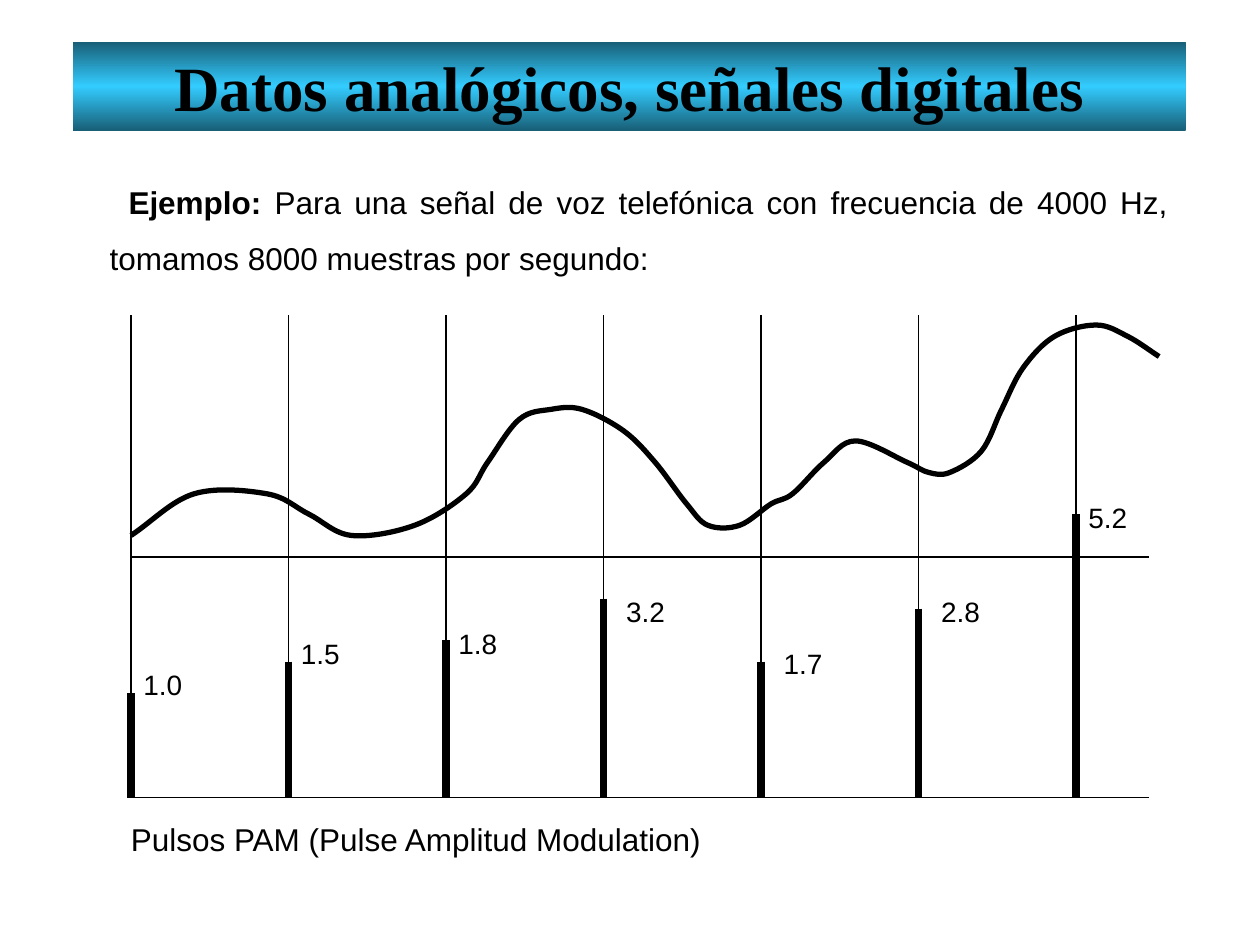
"""Build a slide on sampling a voice signal into PAM pulses."""
import copy

import lxml.etree
import pptx
import pptx.dml.color
import pptx.enum.shapes
import pptx.enum.text
import pptx.oxml.ns
import pptx.util
from pptx.util import Inches

BLACK = pptx.dml.color.RGBColor(0x00, 0x00, 0x00)
TEAL = pptx.dml.color.RGBColor(0x18, 0x5E, 0x76)
CYAN = pptx.dml.color.RGBColor(0x33, 0xCC, 0xFF)
qn = pptx.oxml.ns.qn


def add_line(x1, y1, x2, y2, width):
    line = slide.shapes.add_connector(
        pptx.enum.shapes.MSO_CONNECTOR.STRAIGHT,
        Inches(x1), Inches(y1), Inches(x2), Inches(y2))
    line.line.color.rgb = BLACK
    line.line.width = pptx.util.Pt(width)
    lxml.etree.SubElement(line.element.spPr, qn("a:effectLst"))


def add_label(text, left, top, width, height, size):
    box = slide.shapes.add_textbox(Inches(left), Inches(top), Inches(width), Inches(height))
    box.text_frame.word_wrap = False
    paragraph = box.text_frame.paragraphs[0]
    paragraph.text = text
    paragraph.font.name = "Arial"
    paragraph.font.size = pptx.util.Pt(size)
    paragraph.font.color.rgb = BLACK


presentation = pptx.Presentation()
presentation.slide_width = Inches(10)
presentation.slide_height = Inches(7.5)
slide = presentation.slides.add_slide(presentation.slide_layouts[1])

title = slide.shapes.title
title.left, title.top = Inches(0.58), Inches(0.33)
title.width, title.height = Inches(8.83), Inches(0.71)
title.fill.gradient()
title.fill.gradient_angle = 90
stop_list = title.element.spPr.find(".//" + qn("a:gsLst"))
stop_list.append(copy.deepcopy(stop_list[0]))
for stop, position, color in zip(title.fill.gradient_stops, (0, 0.5, 1), (TEAL, CYAN, TEAL)):
    stop.position = position
    stop.color.rgb = color
title.text_frame.text = "Datos analógicos, señales digitales"
title.text_frame.auto_size = pptx.enum.text.MSO_AUTO_SIZE.NONE
title.text_frame.vertical_anchor = pptx.enum.text.MSO_ANCHOR.MIDDLE
paragraph = title.text_frame.paragraphs[0]
paragraph.alignment = pptx.enum.text.PP_ALIGN.CENTER
paragraph.font.name = "Times New Roman"
paragraph.font.size = pptx.util.Pt(36)
paragraph.font.bold = True
paragraph.font.color.rgb = BLACK

body = slide.placeholders[1]
body.left, body.top = Inches(0.39), Inches(1.25)
body.width, body.height = Inches(8.98), Inches(1.02)
body.text_frame.auto_size = pptx.enum.text.MSO_AUTO_SIZE.NONE
paragraph = body.text_frame.paragraphs[0]
paragraph.alignment = pptx.enum.text.PP_ALIGN.JUSTIFY
paragraph.line_spacing = 1.5
paragraph.font.name = "Arial"
paragraph.font.size = pptx.util.Pt(18)
paragraph.font.color.rgb = BLACK
run = paragraph.add_run()
run.text = "Ejemplo: "
run.font.bold = True
paragraph.add_run().text = (
    "Para una señal de voz telefónica con frecuencia de 4000 Hz, "
    "tomamos 8000 muestras por segundo:")
properties = paragraph._p.get_or_add_pPr()
properties.set("marL", str(Inches(0.38)))
properties.set("indent", str(Inches(0.15)))
bullet = lxml.etree.Element(qn("a:buNone"))
properties.find(qn("a:defRPr")).addprevious(bullet)

AXIS_LEFT, AXIS_RIGHT, BASELINE = 1.04, 9.12, 6.33
for y in (BASELINE, 4.42):
    add_line(AXIS_LEFT, y, AXIS_RIGHT, y, 0.75)

signal = [
    (1.04, 4.25), (1.54, 3.92), (2.12, 3.92), (2.45, 4.08), (2.79, 4.25), (3.29, 4.17),
    (3.7, 3.92), (3.87, 3.67), (4.12, 3.33), (4.37, 3.25), (4.62, 3.25), (4.95, 3.42),
    (5.2, 3.67), (5.45, 4), (5.62, 4.17), (5.87, 4.17), (6.12, 4), (6.29, 3.92),
    (6.54, 3.67), (6.79, 3.5), (7.2, 3.67), (7.37, 3.75), (7.54, 3.75), (7.79, 3.58),
    (7.95, 3.25), (8.12, 2.92), (8.37, 2.67), (8.7, 2.58), (8.95, 2.67), (9.2, 2.83)]
knots = [(Inches(x), Inches(y)) for x, y in signal]
builder = slide.shapes.build_freeform(*knots[0])
builder.add_line_segments(knots[1:], close=False)
curve = builder.convert_to_shape()
curve.shadow.inherit = False
curve.fill.background()
curve.line.color.rgb = BLACK
curve.line.width = pptx.util.Pt(3)

points = [(int(point.get("x")), int(point.get("y")))
          for point in curve.element.spPr.iter(qn("a:pt"))]
tangents = []
for index in range(len(points)):
    before = max(index - 1, 0)
    after = min(index + 1, len(points) - 1)
    tangents.append([(end - start) / (3 * (after - before))
                     for start, end in zip(points[before], points[after])])
for index, segment in enumerate(list(curve.element.spPr.iter(qn("a:lnTo")))):
    start, end = points[index], points[index + 1]
    leaving = [value + slope for value, slope in zip(start, tangents[index])]
    arriving = [value - slope for value, slope in zip(end, tangents[index + 1])]
    bezier = lxml.etree.Element(qn("a:cubicBezTo"))
    for x, y in (leaving, arriving, end):
        lxml.etree.SubElement(bezier, qn("a:pt"), x=str(round(x)), y=str(round(y)))
    segment.getparent().replace(segment, bezier)

pulses = [
    ("1.0", 5.5, 0, 5.25), ("1.5", 5.25, 0, 5), ("1.8", 5.08, 0, 4.92),
    ("3.2", 4.75, 0.08, 4.67), ("1.7", 5.25, 0.08, 5.08),
    ("2.8", 4.83, 0.08, 4.67), ("5.2", 4.08, 0, 3.92)]
for index, (value, pulse_top, label_shift, label_top) in enumerate(pulses):
    x = AXIS_LEFT + 1.25 * index
    add_line(x, BASELINE, x, 2.5, 0.75)
    add_line(x, pulse_top, x, BASELINE, 4.5)
    add_label(value, x + label_shift, label_top, 0.51, 0.37, 16)

add_label("Pulsos PAM (Pulse Amplitud Modulation)", 0.94, 6.46, 4.76, 0.4, 18)

presentation.save("out.pptx")
